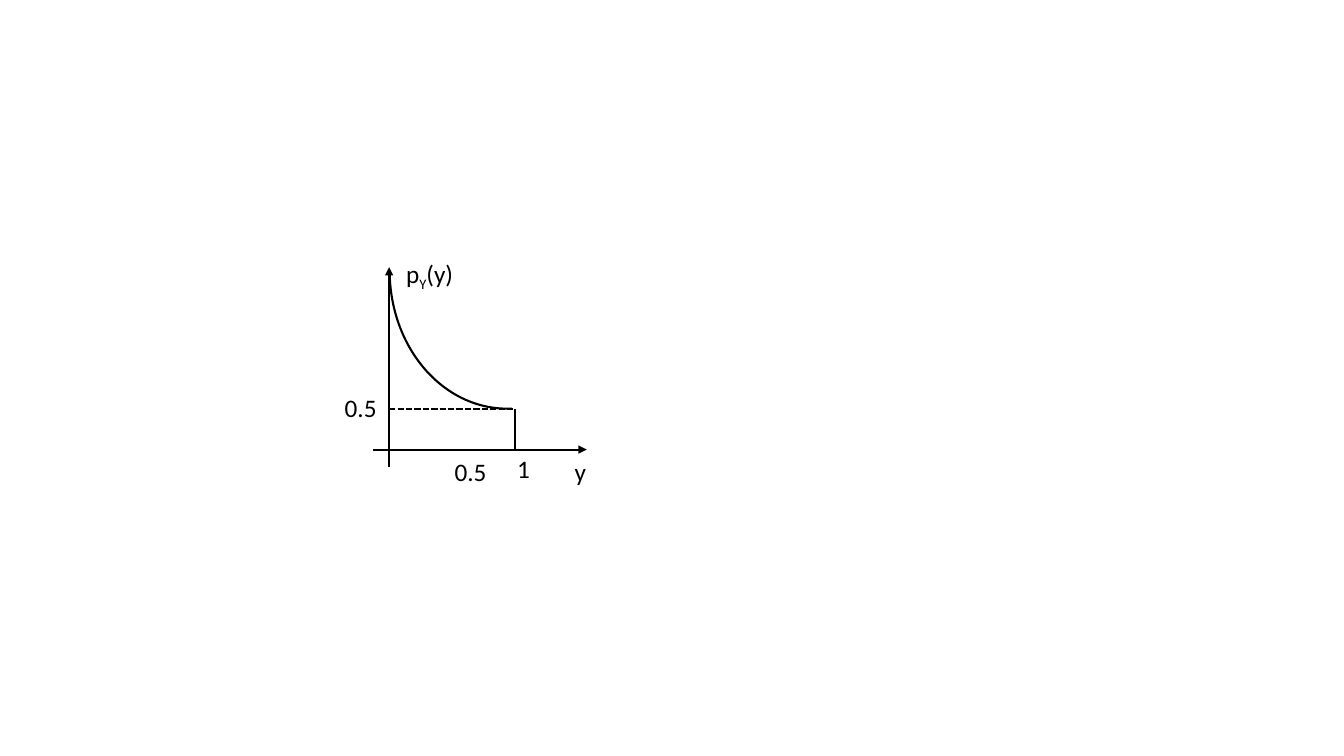
from lxml import etree
from pptx import Presentation
from pptx.dml.color import RGBColor
from pptx.enum import dml, shapes, text
from pptx.oxml.ns import qn
from pptx.util import Inches, Pt

COLORS = {"ink": "000000"}
FONT = "Calibri"


def style_line(line, width=1.5, dash=None):
    line.color.rgb = RGBColor.from_string(COLORS["ink"])
    line.width = Pt(width)
    if dash:
        line.dash_style = dash


def add_line(slide, start, end, dash=None, arrow=False):
    points = [Inches(value) for value in (*start, *end)]
    connector = slide.shapes.add_connector(shapes.MSO_CONNECTOR.STRAIGHT, *points)
    style_line(connector.line, dash=dash)
    if arrow:
        etree.SubElement(connector.line._ln, qn("a:tailEnd"), type="triangle")
    etree.SubElement(connector._element.spPr, qn("a:effectLst"))


def add_text(slide, pieces, left, top, width, height=0.4, size=18, color="ink"):
    """Write (string, baseline) pieces in one paragraph."""
    box = slide.shapes.add_textbox(*map(Inches, (left, top, width, height)))
    frame = box.text_frame
    frame.word_wrap = True
    frame.auto_size = text.MSO_AUTO_SIZE.SHAPE_TO_FIT_TEXT
    for string, baseline in pieces:
        run = frame.paragraphs[0].add_run()
        run.text = string
        run.font.name = FONT
        run.font.size = Pt(size)
        run.font.color.rgb = RGBColor.from_string(COLORS[color])
        if baseline:
            run.font._element.set("baseline", str(baseline * 1000))


def add_density_curve(slide, left, top, width, height):
    # The box is turned a quarter, so width runs down the slide
    curve = slide.shapes.add_shape(
        shapes.MSO_SHAPE.ARC, *map(Inches, (left, top, width, height)))
    curve.adjustments[0], curve.adjustments[1] = 162, 1.19
    curve.rotation = 270
    curve._element.spPr.find(qn("a:xfrm")).set("flipH", "1")
    curve.shadow.inherit = False
    curve.fill.background()
    style_line(curve.line)


def add_density_plot(slide, left, top, width, height):
    axis_x, axis_y = left + 0.55, top + 1.95
    one_x, half_y = axis_x + 1.25, axis_y - 0.4

    # Axes
    add_line(slide, (axis_x - 0.16, axis_y), (left + width, axis_y), arrow=True)
    add_line(slide, (axis_x, top + height), (axis_x, top + 0.14), arrow=True)

    # Level 0.5 and the right edge of the density
    add_line(slide, (axis_x, half_y), (one_x, half_y),
             dash=dml.MSO_LINE.SQUARE_DOT)
    add_line(slide, (one_x, axis_y), (one_x, half_y))

    # Labels
    add_text(slide, [("p", 0), ("Y", -25), ("(y) ", 0)], axis_x + 0.07, top, 0.8)
    add_text(slide, [("1", 0)], one_x - 0.08, axis_y - 0.01, 0.49)
    add_text(slide, [("y", 0)], axis_x + 1.74, axis_y + 0.02, 0.8)
    add_text(slide, [("0.5", 0)], axis_x + 0.55, axis_y + 0.02, 0.62)
    add_text(slide, [("0.5", 0)], left + 0.01, half_y - 0.22, 0.69)

    # Falling density
    add_density_curve(slide, axis_x - 0.2, top - 0.99, 2.74, 2.33)


presentation = Presentation()
presentation.slide_width = Inches(13.33)
presentation.slide_height = Inches(7.5)
plot_slide = presentation.slides.add_slide(presentation.slide_layouts[6])
add_density_plot(plot_slide, left=3.31, top=2.51, width=2.51, height=2.12)
presentation.save("out.pptx")
